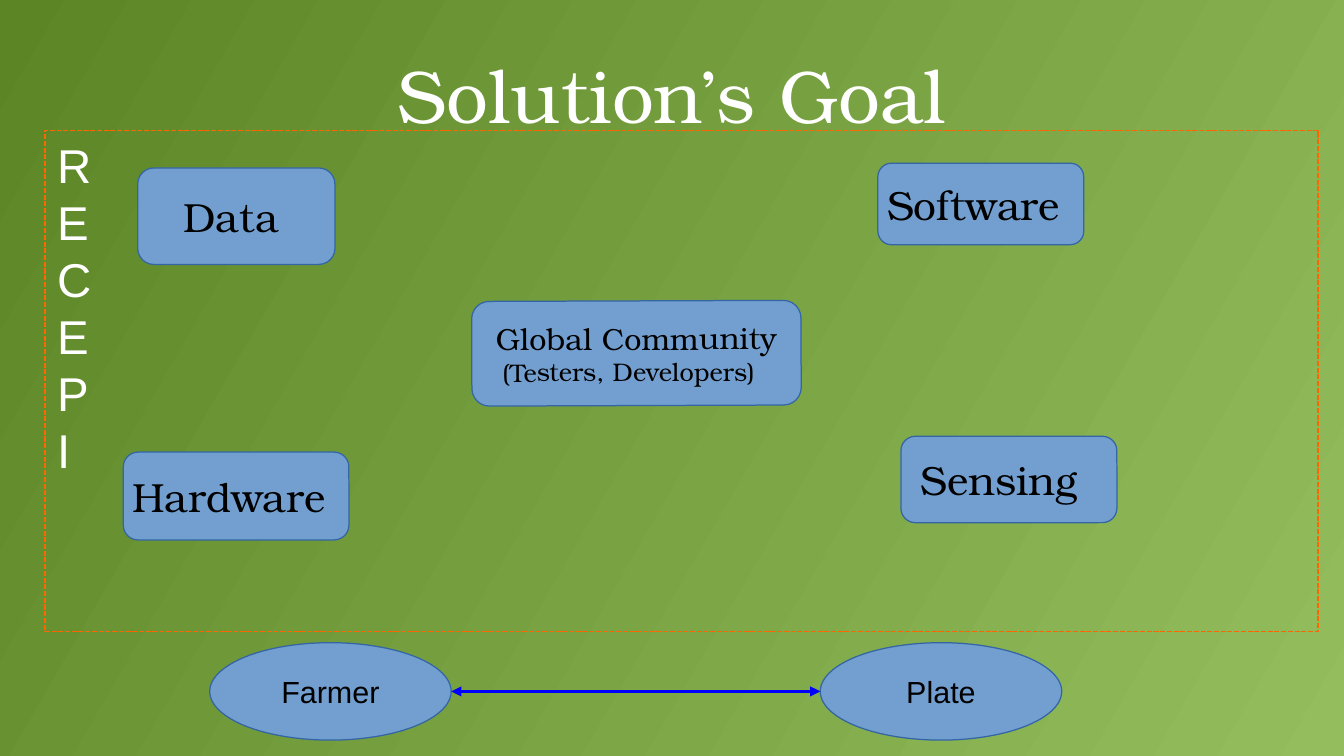
import pptx
import pptx.util
import pptx.dml.color
import pptx.enum.dml
import pptx.enum.shapes
import pptx.enum.text
import pptx.oxml
import pptx.oxml.ns

Cm, Pt = pptx.util.Cm, pptx.util.Pt
RGB = pptx.dml.color.RGBColor
SHAPE = pptx.enum.shapes.MSO_SHAPE
ALIGN = pptx.enum.text.PP_ALIGN
ANCHOR = pptx.enum.text.MSO_ANCHOR

SERIF, SANS = "TeX Gyre Bonum", "Arial"
WHITE, BLACK = RGB(255, 255, 255), RGB(0, 0, 0)
LIGHT_GREEN, DARK_GREEN = RGB(0x94, 0xBD, 0x5E), RGB(0x5C, 0x85, 0x26)
BOX_FILL, BOX_LINE = RGB(0x72, 0x9F, 0xCF), RGB(0x34, 0x65, 0xA4)
ARROW_BLUE, FRAME_ORANGE = RGB(0, 0, 255), RGB(0xFF, 0x66, 0)

# Content: lines are (text, size, right indent in cm); places are in cm
TITLE = "Solution’s Goal"
SIDE_WORD = "RECEPI"
BOXES = [
    ([("Data", 24, 0.21)], (2.87, 3.5, 4.11, 2.01), 0),
    ([("Software", 24, 0.31)], (18.29, 3.4, 4.29, 1.7), 0),
    ([("Hardware", 24, 0.31)], (2.57, 9.42, 4.7, 1.83), 0),
    ([("Sensing", 24, 0.42)], (18.77, 9.09, 4.5, 1.8), 0),
    ([("Global Community", 18, 0), ("(Testers, Developers)", 15, 0.33)],
     (9.83, 6.27, 6.86, 2.18), -0.2),
]
ENDS = [("Farmer", 4.37), ("Plate", 17.09)]
END_TOP, END_W, END_H = 13.39, 5.03, 2.03
FRAME = (0.94, 2.72, 26.52, 10.44)

prs = pptx.Presentation()
prs.slide_width, prs.slide_height = Cm(28), Cm(15.75)
slide = prs.slides.add_slide(prs.slide_layouts[5])


def place(sp, left, top, width, height):
    sp.left, sp.top, sp.width, sp.height = map(Cm, (left, top, width, height))


def clear_margins(tf):
    tf.margin_left = tf.margin_right = tf.margin_top = tf.margin_bottom = 0
    tf.word_wrap = True
    tf.vertical_anchor = ANCHOR.MIDDLE


def write(p, text, size=18, font=SANS, color=BLACK, align=ALIGN.CENTER, indent=0):
    p.alignment = align
    if indent:
        p._p.get_or_add_pPr().set("marR", str(int(Cm(indent))))
    r = p.add_run()
    r.text = text
    r.font.size, r.font.name, r.font.bold = Pt(size), font, False
    r.font.color.rgb = color
    return r


def add_node(kind, lines, box, font):
    sp = slide.shapes.add_shape(kind, *map(Cm, box))
    sp.shadow.inherit = False
    sp.fill.solid()
    sp.fill.fore_color.rgb = BOX_FILL
    sp.line.color.rgb = BOX_LINE
    sp.line.width = 0
    tf = sp.text_frame
    clear_margins(tf)
    for i, (text, size, indent) in enumerate(lines):
        p = tf.add_paragraph() if i else tf.paragraphs[0]
        write(p, text, size=size, font=font, indent=indent)
    return sp


# Background
fill = slide.background.fill
fill.gradient()
fill.gradient_angle = 150
for stop, color in zip(fill.gradient_stops, (LIGHT_GREEN, DARK_GREEN)):
    stop.color.rgb = color

# Title
title = slide.shapes.title
place(title, 1.4, 0.63, 25.2, 2.63)
clear_margins(title.text_frame)
write(title.text_frame.paragraphs[0], TITLE, size=44, font=SERIF, color=WHITE)

# Solution parts
for lines, box, angle in BOXES:
    sp = add_node(SHAPE.ROUNDED_RECTANGLE, lines, box, SERIF)
    sp.rotation = angle

# Farmer and plate, joined by a two-way arrow
farmer, plate = [
    add_node(SHAPE.OVAL, [(name, 18, 0)], (left, END_TOP, END_W, END_H), SANS)
    for name, left in ENDS]
middle = farmer.top + farmer.height // 2
arrow = slide.shapes.add_connector(
    pptx.enum.shapes.MSO_CONNECTOR.STRAIGHT,
    farmer.left + farmer.width, middle, plate.left, middle)
arrow.line.color.rgb = ARROW_BLUE
arrow.line.width = 0
ln = arrow.line._get_or_add_ln()
for tag in ("a:headEnd", "a:tailEnd"):
    end = pptx.oxml.ns.qn(tag)
    ln.append(ln.makeelement(end, {"type": "triangle"}))
spPr = arrow._element.spPr
spPr.append(spPr.makeelement(pptx.oxml.ns.qn("a:effectLst"), {}))

# Dashed frame
frame = slide.shapes.add_shape(SHAPE.RECTANGLE, *map(Cm, FRAME))
frame.shadow.inherit = False
frame.fill.background()
frame.line.color.rgb = FRAME_ORANGE
frame.line.width = Pt(1)
frame.line.dash_style = pptx.enum.dml.MSO_LINE.SQUARE_DOT

# Side word, one letter a line
side = slide.shapes.add_textbox(*map(Cm, (*FRAME[:2], 1.5, 11.53)))
tf = side.text_frame
tf.word_wrap = True
for i, letter in enumerate(SIDE_WORD):
    p = tf.add_paragraph() if i else tf.paragraphs[0]
    p.line_spacing = Pt(33.6)
    write(p, letter, size=28, color=WHITE, align=ALIGN.LEFT)

prs.save("out.pptx")
